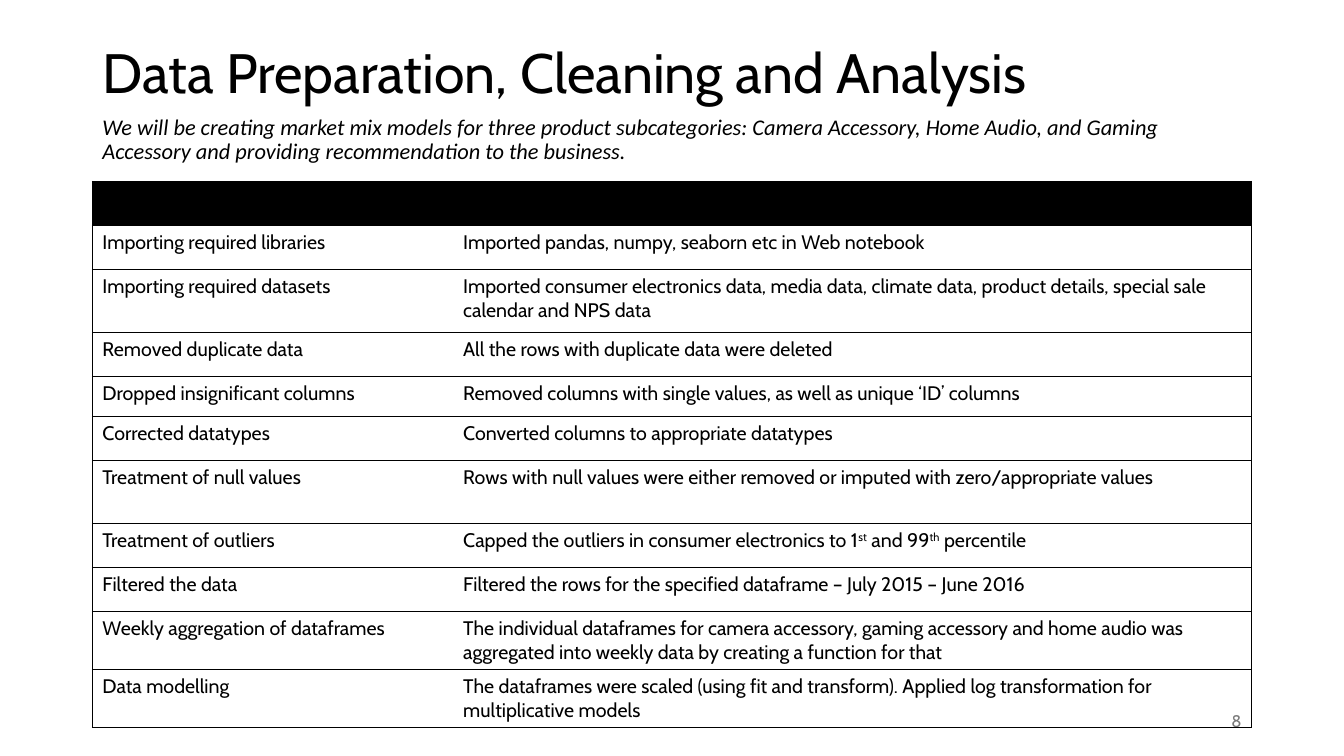
from dataclasses import dataclass

from lxml.etree import SubElement
from pptx import Presentation
from pptx.dml.color import RGBColor
from pptx.enum.text import MSO_ANCHOR, MSO_AUTO_SIZE, PP_ALIGN
from pptx.oxml.ns import qn
from pptx.util import Pt

BLACK = RGBColor(0x00, 0x00, 0x00)
GREY = RGBColor(0x79, 0x79, 0x79)
LEFT, WIDTH = 66, 828
COLUMN_WIDTHS = (257.7, 570.3)
HEADER_HEIGHT = 31.5


@dataclass
class Step:
    name: str
    detail: str
    height: float = 31.5


STEPS = [
    Step("Importing required libraries",
         "Imported pandas, numpy, seaborn etc in Web notebook"),
    Step("Importing required datasets",
         "Imported consumer electronics data, media data, climate data, product details, "
         "special sale calendar and NPS data", 45),
    Step("Removed duplicate data", "All the rows with duplicate data were deleted"),
    Step("Dropped insignificant columns",
         "Removed columns with single values, as well as unique ‘ID’ columns", 28.5),
    Step("Corrected datatypes", "Converted columns to appropriate datatypes"),
    Step("Treatment of null values",
         "Rows with null values were either removed or imputed with zero/appropriate values", 45),
    Step("Treatment of outliers",
         "Capped the outliers in consumer electronics to 1^st^ and 99^th^ percentile"),
    Step("Filtered the data",
         "Filtered the rows for the specified dataframe – July 2015 – June 2016"),
    Step("Weekly aggregation of dataframes",
         "The individual dataframes for camera accessory, gaming accessory and home audio was "
         "aggregated into weekly data by creating a function for that", 41.4),
    Step("Data modelling",
         "The dataframes were scaled (using fit and transform). Applied log transformation for "
         "multiplicative models", 41.4),
]


def style_font(font, size: float, color: RGBColor = BLACK, name: str = "Cabin") -> None:
    font.name = name
    font.size = Pt(size)
    font.color.rgb = color


def place_text(sp, text: str, box: tuple, size: float, anchor, align=PP_ALIGN.LEFT,
               color: RGBColor = BLACK, name: str = "Cabin"):
    sp.left, sp.top, sp.width, sp.height = map(Pt, box)
    tf = sp.text_frame
    tf.text = text
    tf.word_wrap = True
    tf.auto_size = MSO_AUTO_SIZE.NONE
    tf.vertical_anchor = anchor
    p = tf.paragraphs[0]
    p.alignment = align
    style_font(p.runs[0].font, size, color, name)
    return p


def set_borders(cell, column: int) -> None:
    inner_side = "a:lnR" if column == 0 else "a:lnL"
    tcPr = cell._tc.get_or_add_tcPr()
    for side in ("a:lnL", "a:lnR", "a:lnT", "a:lnB"):
        ln = SubElement(tcPr, qn(side), w=str(Pt(1)))
        if side == inner_side:
            SubElement(ln, qn("a:noFill"))
        else:
            fill = SubElement(ln, qn("a:solidFill"))
            SubElement(fill, qn("a:srgbClr"), val=str(BLACK))


def fill_text(cell, text: str) -> None:
    p = cell.text_frame.paragraphs[0]
    for i, part in enumerate(text.split("^")):
        r = p.add_run()
        r.text = part
        style_font(r.font, 14)
        if i % 2:
            r._r.get_or_add_rPr().set("baseline", "30000")


def add_steps_table(s, steps: list[Step]) -> None:
    heights = [HEADER_HEIGHT] + [step.height for step in steps]
    table = s.shapes.add_table(len(heights), 2, Pt(LEFT), Pt(129.6),
                               Pt(WIDTH), Pt(sum(heights))).table
    table.first_row = table.horz_banding = False
    for column, width in zip(table.columns, COLUMN_WIDTHS):
        column.width = Pt(width)
    for i, height in enumerate(heights):
        table.rows[i].height = Pt(height)
        for j in range(2):
            cell = table.cell(i, j)
            set_borders(cell, j)
            if i == 0:
                cell.fill.solid()
                cell.fill.fore_color.rgb = BLACK
            else:
                cell.fill.background()
                fill_text(cell, (steps[i - 1].name, steps[i - 1].detail)[j])


def main() -> None:
    prs = Presentation()
    prs.slide_width, prs.slide_height = Pt(960), Pt(540)
    s = prs.slides.add_slide(prs.slide_layouts[1])

    p = place_text(s.shapes.title, "Data Preparation, Cleaning and Analysis",
                   (LEFT, 28.8, WIDTH, 50.4), 39.6, MSO_ANCHOR.MIDDLE)
    p.line_spacing = 0.9

    p = place_text(s.placeholders[1],
                   "We will be creating market mix models for three product subcategories: "
                   "Camera Accessory, Home Audio, and Gaming Accessory and providing "
                   "recommendation to the business.",
                   (LEFT, 79.2, WIDTH, 54.7), 16, MSO_ANCHOR.TOP, name="Calibri")
    p.line_spacing = 0.9
    p.space_before = Pt(10)
    p.runs[0].font.italic = True
    pPr = p._p.get_or_add_pPr()
    pPr.set("marL", "0")
    pPr.set("indent", "0")
    SubElement(pPr, qn("a:buNone"))

    number = s.shapes.add_textbox(0, 0, 0, 0)
    place_text(number, "8", (678, 500.5, 216, 28.75), 12, MSO_ANCHOR.MIDDLE,
               PP_ALIGN.RIGHT, GREY)

    add_steps_table(s, STEPS)
    prs.save("out.pptx")


if __name__ == "__main__":
    main()
